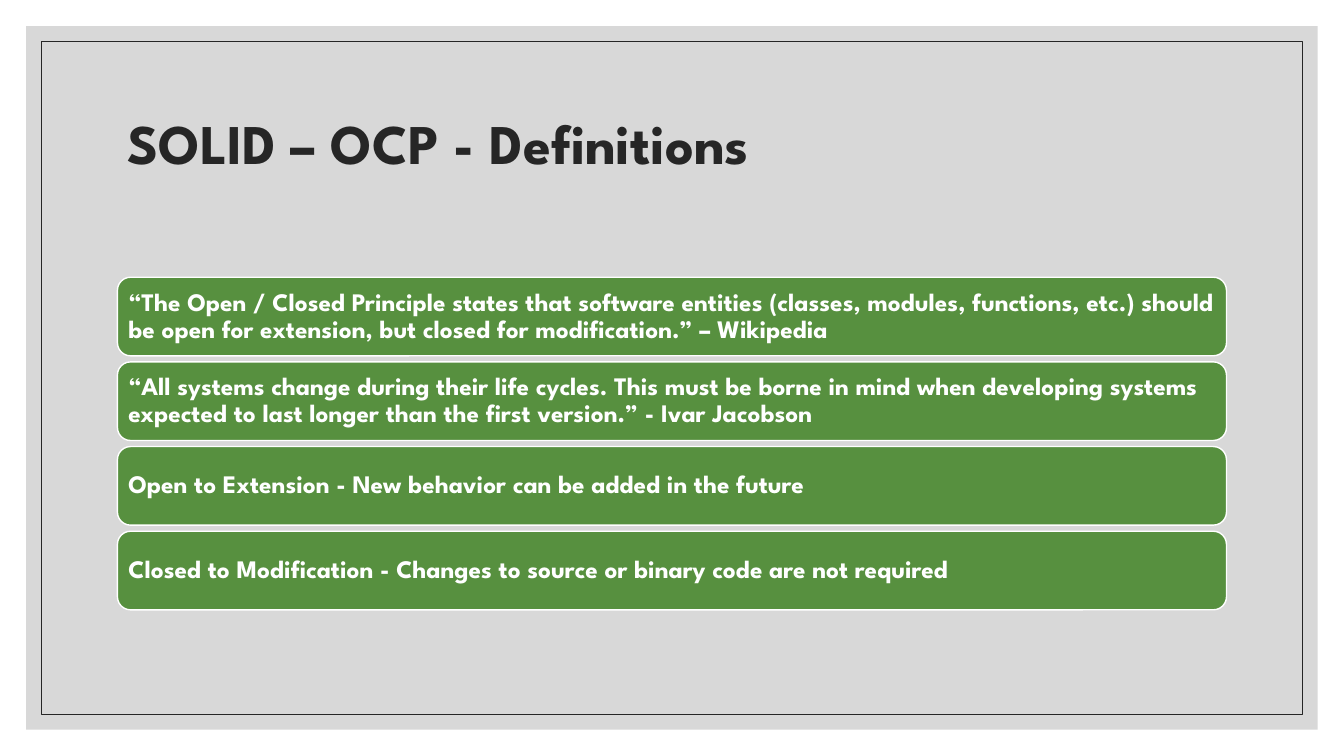
from lxml.etree import SubElement
from pptx import Presentation
from pptx.dml.color import RGBColor as Rgb
from pptx.enum.shapes import MSO_SHAPE as Form
from pptx.enum.text import MSO_ANCHOR as Anchor, PP_ALIGN as Align
from pptx.oxml.ns import qn
from pptx.util import Inches, Pt

WIDE, HIGH = Inches(13.33), Inches(7.5)
SPAN = Inches(11)
LEFT = (WIDE - SPAN) // 2
TOP, ROW, BAR = Inches(2.75), Inches(0.84), Inches(0.78)
FONT = "League Spartan"
HUES = {"panel": "BFBFBF", "ink": "262626", "bar": "57903F", "white": "FFFFFF"}
TITLE = "SOLID – OCP - Definitions"
QUOTES = [
    "“The Open / Closed Principle states that software entities (classes, modules, functions, etc.) should be open for extension, but closed for modification.” – Wikipedia",
    "“All systems change during their life cycles. This must be borne in mind when developing systems expected to last longer than the first version.” - Ivar Jacobson",
    "Open to Extension - New behavior can be added in the future",
    "Closed to Modification - Changes to source or binary code are not required",
]


def hue(name):
    return Rgb.from_string(HUES[name])


def block(slide, form, box, fill=None, line=None, width=1):
    shape = slide.shapes.add_shape(form, *box)
    shape.shadow.inherit = False
    if fill:
        shape.fill.solid()
        shape.fill.fore_color.rgb = hue(fill)
    else:
        shape.fill.background()
    if line:
        shape.line.color.rgb = hue(line)
        shape.line.width = Pt(width)
    else:
        shape.line.fill.background()
    return shape


def frame(slide, gap, **style):
    box = gap, gap, WIDE - 2 * gap, HIGH - 2 * gap
    return block(slide, Form.RECTANGLE, box, **style)


def fade(shape, share):
    tint = shape.fill._xPr.find(qn("a:solidFill"))[0]
    SubElement(tint, qn("a:alpha"), val=str(share * 1000))


def write(shape, text, size, color):
    body = shape.text_frame
    body.text = text
    body.word_wrap = True
    body.vertical_anchor = Anchor.MIDDLE
    para = body.paragraphs[0]
    para.alignment = Align.LEFT
    para.line_spacing = 0.9
    font = para.runs[0].font
    font.name, font.size, font.bold = FONT, Pt(size), True
    font.color.rgb = hue(color)
    return body


def quote(slide, row, text):
    box = LEFT, TOP + row * ROW, SPAN, BAR
    bar = block(slide, Form.ROUNDED_RECTANGLE, box, fill="bar", line="white")
    body = write(bar, text, 18, "white")
    body.margin_left = body.margin_right = Inches(0.07)
    body.margin_top = body.margin_bottom = Inches(0.07)


def main():
    deck = Presentation()
    deck.slide_width, deck.slide_height = WIDE, HIGH
    slide = deck.slides.add_slide(deck.slide_layouts[6])
    fade(frame(slide, Inches(0.26), fill="panel"), 60)
    frame(slide, Inches(0.41), line="ink", width=0.5)
    head = slide.shapes.add_textbox(LEFT, Inches(0.7), SPAN, Inches(1.5))
    write(head, TITLE, 40, "ink")
    for row, text in enumerate(QUOTES):
        quote(slide, row, text)
    deck.save("out.pptx")


if __name__ == "__main__":
    main()
